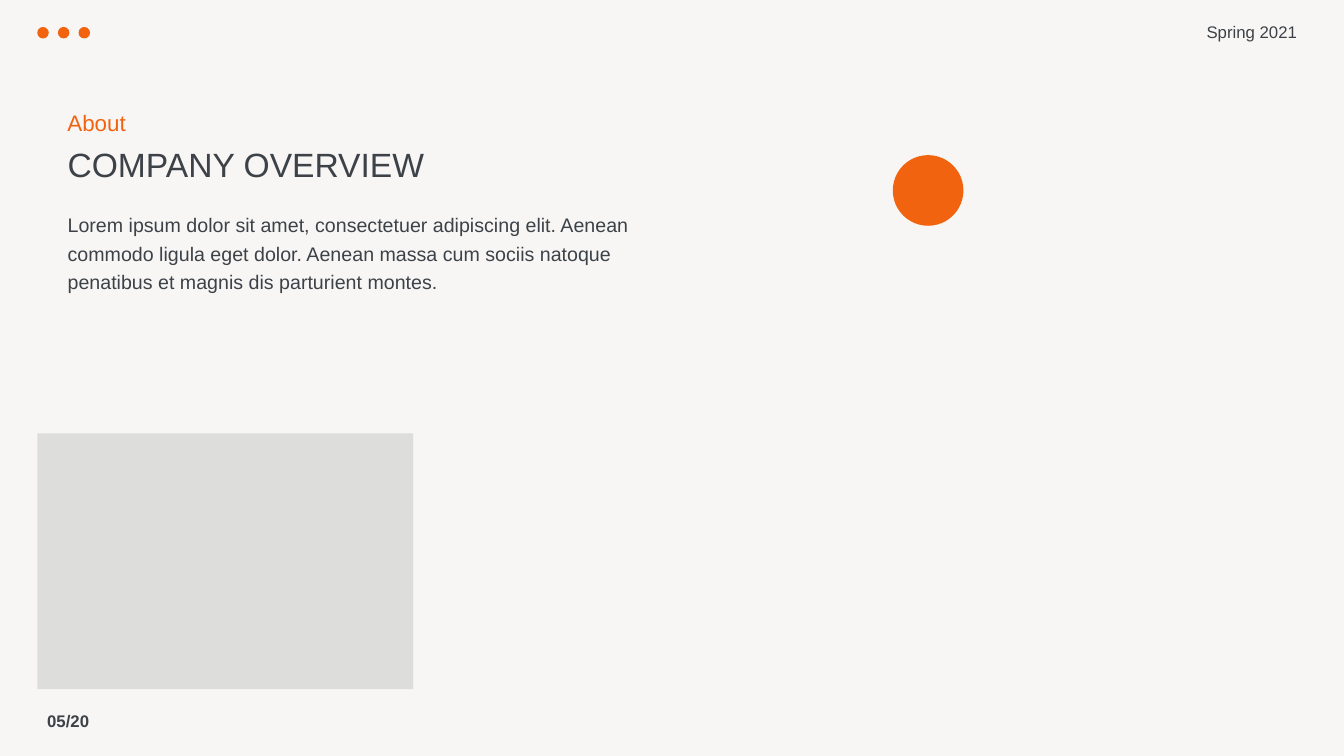
from lxml import etree
from pptx import Presentation
from pptx.dml.color import RGBColor
from pptx.enum.shapes import MSO_SHAPE
from pptx.enum.text import MSO_ANCHOR, MSO_AUTO_SIZE, PP_ALIGN
from pptx.oxml.ns import qn
from pptx.util import Cm, Pt

OVAL, RECTANGLE = MSO_SHAPE.OVAL, MSO_SHAPE.RECTANGLE
TOP, MIDDLE, BOTTOM = MSO_ANCHOR.TOP, MSO_ANCHOR.MIDDLE, MSO_ANCHOR.BOTTOM
LEFT, RIGHT = PP_ALIGN.LEFT, PP_ALIGN.RIGHT
FIXED_SIZE = MSO_AUTO_SIZE.NONE

PAPER = RGBColor(0xF7, 0xF6, 0xF4)
INK = RGBColor(0x3D, 0x42, 0x48)
ORANGE = RGBColor(0xF1, 0x63, 0x0F)
GREY = RGBColor(0xDD, 0xDD, 0xDC)
FONT = "Arial"
MARGIN = 0.94


def place(item, left, top, width, height):
    """Move an item to a box given in centimetres."""
    item.left, item.top = Cm(left), Cm(top)
    item.width, item.height = Cm(width), Cm(height)


def write(box, text, size, color=INK, bold=False, align=LEFT, anchor=TOP):
    """Fill a text box or placeholder and return its paragraph."""
    frame = box.text_frame
    frame.text = text
    frame.word_wrap = True
    frame.auto_size = FIXED_SIZE
    frame.vertical_anchor = anchor
    para = frame.paragraphs[0]
    para.alignment = align
    font = para.runs[0].font
    font.name, font.size, font.bold = FONT, Pt(size), bold
    font.color.rgb = color
    return para


def add_text(page, left, top, width, height, text, size, **style):
    box = page.shapes.add_textbox(Cm(left), Cm(top), Cm(width), Cm(height))
    return write(box, text, size, **style)


def add_filled(shapes, kind, left, top, width, height, color):
    shape = shapes.add_shape(kind, Cm(left), Cm(top), Cm(width), Cm(height))
    shape.shadow.inherit = False
    shape.fill.solid()
    shape.fill.fore_color.rgb = color
    shape.line.fill.background()


def add_header(page, left, top, width):
    # Three dots on the left, date on the right
    dots = page.shapes.add_group_shape()
    dot_size, dot_pitch = 0.29, 0.52
    for index in range(3):
        add_filled(dots.shapes, OVAL, left + index * dot_pitch, top + 0.38,
                   dot_size, dot_size, ORANGE)
    date_width = 4.01
    add_text(page, left + width - date_width, top, date_width, 1.02,
             "Spring 2021", 12, align=RIGHT, anchor=MIDDLE)


def add_overview(page, left, top, width):
    # Label, title and introduction
    add_text(page, left, top, 9.02, 0.94, "About", 16, color=ORANGE)

    title = page.shapes.title
    place(title, left, top + 0.89, 13.51, 1.27)
    write(title, "COMPANY OVERVIEW", 24, anchor=BOTTOM)

    body = page.placeholders[1]
    place(body, left, top + 2.51, width, 2.36)
    para = write(
        body,
        "Lorem ipsum dolor sit amet, consectetuer adipiscing elit. Aenean "
        "commodo ligula eget dolor. Aenean massa cum sociis natoque "
        "penatibus et magnis dis parturient montes.", 14)
    para.line_spacing = 1.2
    para.space_before = Pt(0)
    # Plain paragraph without bullet or indent
    properties = para._p.get_or_add_pPr()
    properties.set("marL", "0")
    properties.set("indent", "0")
    etree.SubElement(properties, qn("a:buNone"))


def add_decoration(page, left, top):
    # Grey panel and large orange circle
    add_filled(page.shapes, RECTANGLE, left, top, 9.47, 6.45, GREY)
    add_filled(page.shapes, OVAL, left + 21.56, top - 7.01, 1.78, 1.78, ORANGE)


def add_footer(page, left, top):
    # Page count
    add_text(page, left, top, 7.62, 1.02, "05/20", 12, bold=True, anchor=MIDDLE)


def main():
    deck = Presentation()
    deck.slide_width, deck.slide_height = Cm(33.87), Cm(19.05)
    page = deck.slides.add_slide(deck.slide_layouts[1])
    page.background.fill.solid()
    page.background.fill.fore_color.rgb = PAPER

    add_header(page, MARGIN, 0.3, 32)
    add_overview(page, 1.45, 2.62, 15.47)
    add_decoration(page, MARGIN, 10.92)
    add_footer(page, MARGIN, 17.65)
    deck.save("out.pptx")


if __name__ == "__main__":
    main()
